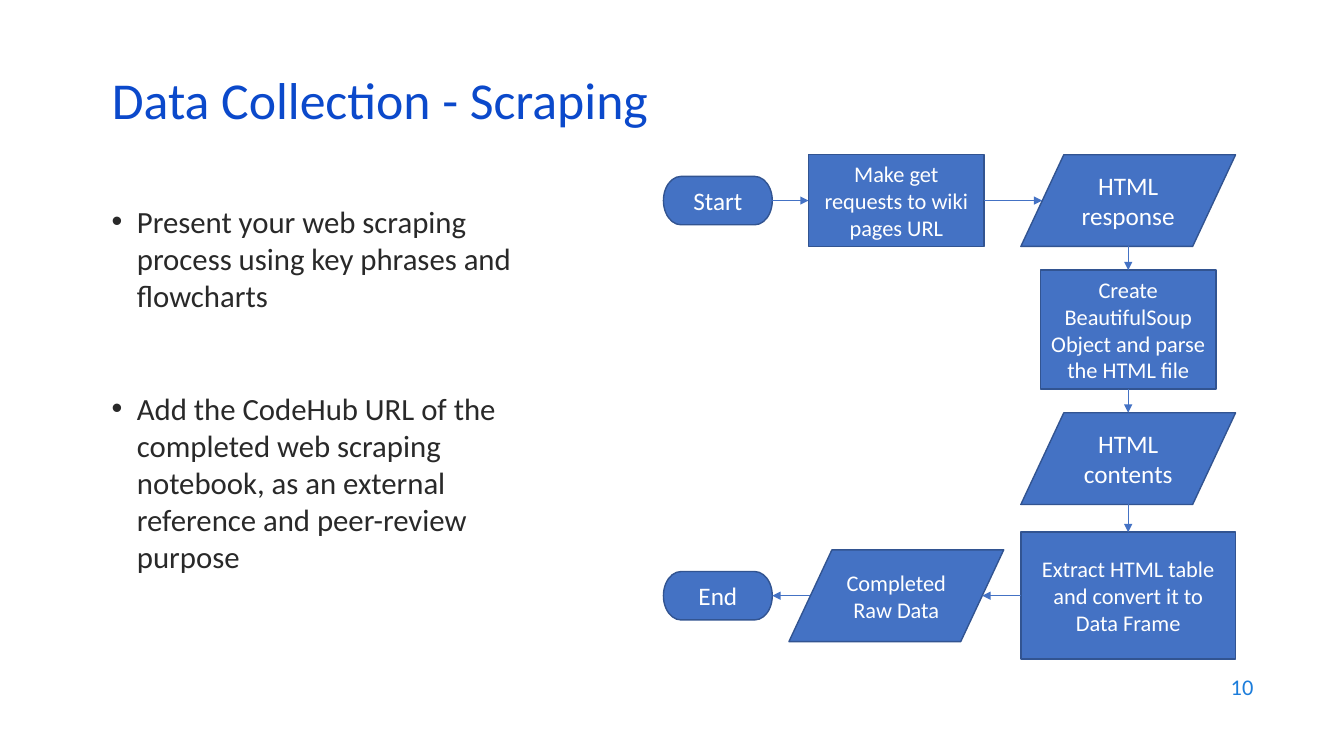
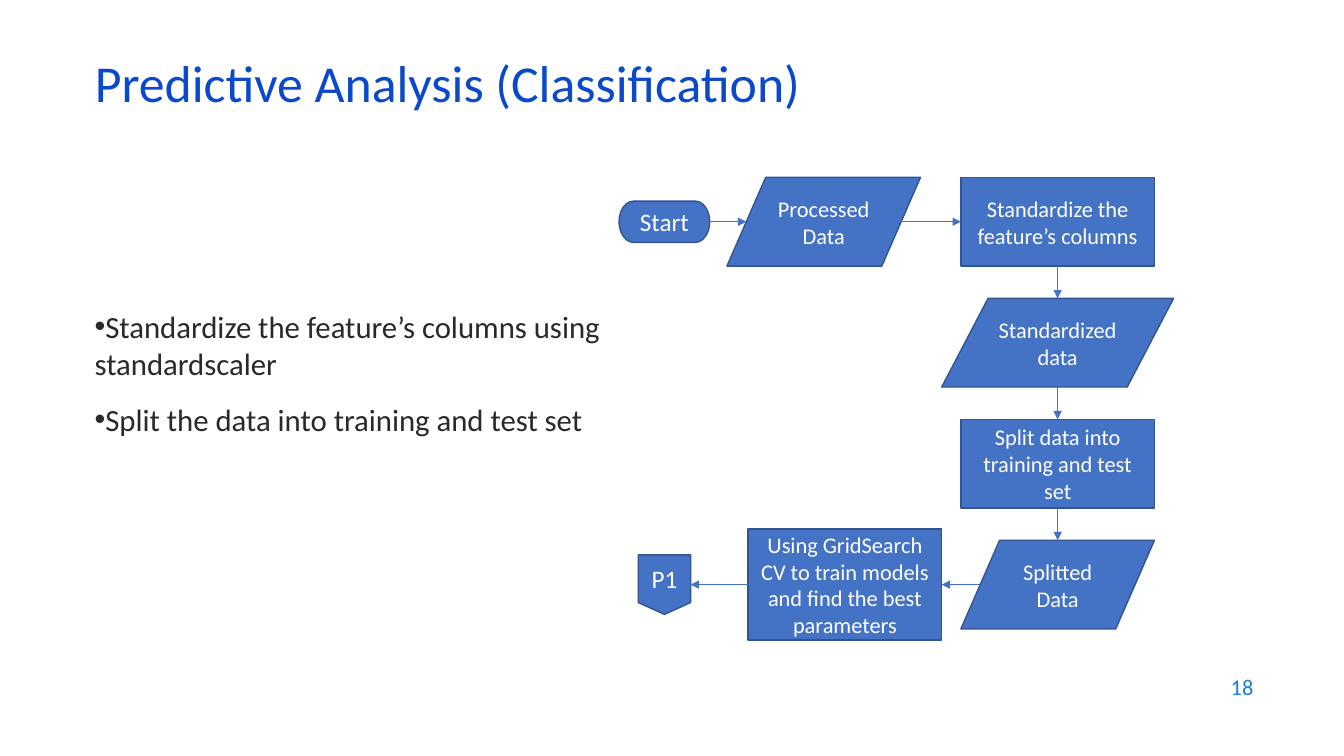
from itertools import pairwise

from lxml.etree import SubElement
from pptx import Presentation
from pptx.dml.color import RGBColor
from pptx.enum.shapes import MSO_CONNECTOR, MSO_SHAPE
from pptx.enum.text import MSO_ANCHOR, MSO_AUTO_SIZE, PP_ALIGN
from pptx.oxml.ns import qn
from pptx.util import Inches, Pt

COLORS = {
    "title": "0B49CB",
    "body": "292929",
    "number": "1C7DDB",
    "fill": "4472C4",
    "outline": "325491",
    "white": "FFFFFF",
}
FONT = "Calibri"
TERMINATOR = MSO_SHAPE.FLOWCHART_TERMINATOR
PROCESS = MSO_SHAPE.FLOWCHART_PROCESS
DATA = MSO_SHAPE.FLOWCHART_DATA
OFFPAGE = MSO_SHAPE.FLOWCHART_OFFPAGE_CONNECTOR
DATA_SLANT = 0.1
ROUTE = ["right", "right", "down", "down", "down", "left", "left"]
OPPOSITE = {"right": "left", "left": "right", "down": "up"}
SIDES = {"right": (0.5, 0), "left": (-0.5, 0), "down": (0, 0.5), "up": (0, -0.5)}

SLIDES = [
    {
        "title": "Data Collection - Scraping",
        "title_position": (1.01, 0.76),
        "number": "10",
        "body_box": (1.01, 1.96, 4.3, 4.17),
        "bullets": [
            "Present your web scraping process using key phrases and flowcharts",
            "Add the CodeHub URL of the completed web scraping notebook, "
            "as an external reference and peer-review purpose",
        ],
        "bullet_indent": 0.25,
        "bullet_gap": 54.4,
        "steps": [
            (TERMINATOR, "Start", 18, 7.12, 1.99, 1.08, 0.48),
            (PROCESS, "Make get requests to wiki pages URL", 16, 8.89, 1.99, 1.74, 0.91),
            (DATA, "HTML response", 18, 11.19, 1.99, 2.13, 0.91),
            (PROCESS, "Create BeautifulSoup Object and parse the HTML file",
             16, 11.19, 3.27, 1.74, 1.18),
            (DATA, "HTML contents", 18, 11.19, 4.55, 2.13, 0.91),
            (PROCESS, "Extract HTML table and convert it to Data Frame",
             16, 11.19, 5.91, 2.13, 1.26),
            (DATA, "Completed Raw Data", 16, 8.89, 5.91, 2.13, 0.91),
            (TERMINATOR, "End", 18, 7.12, 5.91, 1.08, 0.48),
        ],
    },
    {
        "title": "Predictive Analysis (Classification)",
        "title_position": (0.84, 0.59),
        "number": "18",
        "body_box": (0.84, 3, 5.56, 1.5),
        "bullets": [
            "Standardize the feature’s columns using standardscaler",
            "Split the data into training and test set",
        ],
        "bullet_indent": 0,
        "bullet_gap": 14,
        "steps": [
            (TERMINATOR, "Start", 18, 6.59, 2.2, 0.9, 0.41),
            (DATA, "Processed Data", 16, 8.17, 2.2, 1.92, 0.88),
            (PROCESS, "Standardize the feature’s columns", 16, 10.49, 2.2, 1.92, 0.88),
            (DATA, "Standardized data", 16, 10.49, 3.4, 2.3, 0.88),
            (PROCESS, "Split data into training and test set",
             16, 10.49, 4.6, 1.92, 0.88),
            (DATA, "Splitted Data", 16, 10.49, 5.8, 1.92, 0.88),
            (PROCESS, "Using GridSearch CV to train models and find the best parameters",
             16, 8.38, 5.8, 1.92, 1.1),
            (OFFPAGE, "P1", 18, 6.59, 5.8, 0.52, 0.59),
        ],
    },
]


def rgb(name):
    return RGBColor.from_string(COLORS[name])


def write_text(paragraph, text, *, size, color, align=PP_ALIGN.LEFT, line_spacing=None):
    paragraph.alignment = align
    if line_spacing:
        paragraph.line_spacing = line_spacing
    run = paragraph.add_run()
    run.text = text
    run.font.name = FONT
    run.font.size = Pt(size)
    run.font.color.rgb = rgb(color)


def set_frame(shape, anchor):
    frame = shape.text_frame
    frame.word_wrap = True
    frame.auto_size = MSO_AUTO_SIZE.NONE
    frame.vertical_anchor = anchor
    return frame


def set_bullet(paragraph, indent):
    properties = paragraph._p.get_or_add_pPr()
    properties.set("marL", str(Inches(indent)))
    properties.set("indent", str(-Inches(indent)))
    SubElement(properties, qn("a:buFont")).set("typeface", "Arial")
    SubElement(properties, qn("a:buChar")).set("char", "•")


def add_title(slide, text, left, top):
    title = slide.shapes.title
    title.left, title.top = Inches(left), Inches(top)
    title.width, title.height = Inches(11.5), Inches(0.6)
    frame = set_frame(title, MSO_ANCHOR.MIDDLE)
    write_text(frame.paragraphs[0], text, size=37, color="title", line_spacing=0.7)


def add_number(slide, number):
    box = slide.shapes.add_textbox(Inches(9.53), Inches(6.59), Inches(3), Inches(0.44))
    frame = set_frame(box, MSO_ANCHOR.MIDDLE)
    write_text(frame.paragraphs[0], number, size=16, color="number", align=PP_ALIGN.RIGHT)


def add_bullets(slide, texts, box, indent, gap):
    text_box = slide.shapes.add_textbox(*map(Inches, box))
    frame = set_frame(text_box, MSO_ANCHOR.TOP)
    for index, text in enumerate(texts):
        paragraph = frame.add_paragraph() if index else frame.paragraphs[0]
        set_bullet(paragraph, indent)
        paragraph.space_before = Pt(gap if index else 0)
        write_text(paragraph, text, size=22, color="body")


def add_step(slide, kind, text, size, center_x, center_y, width, height):
    shape = slide.shapes.add_shape(
        kind, Inches(center_x - width / 2), Inches(center_y - height / 2),
        Inches(width), Inches(height))
    shape.shadow.inherit = False
    shape.fill.solid()
    shape.fill.fore_color.rgb = rgb("fill")
    shape.line.color.rgb = rgb("outline")
    shape.line.width = Pt(1)
    frame = set_frame(shape, MSO_ANCHOR.MIDDLE)
    write_text(frame.paragraphs[0], text, size=size, color="white", align=PP_ALIGN.CENTER)


def edge_point(step, side):
    kind, _, _, center_x, center_y, width, height = step
    across, down = SIDES[side]
    if kind == DATA:
        across *= 1 - 2 * DATA_SLANT
    return Inches(center_x + across * width), Inches(center_y + down * height)


def add_arrow(slide, start_step, end_step, direction):
    start = edge_point(start_step, direction)
    end = edge_point(end_step, OPPOSITE[direction])
    arrow = slide.shapes.add_connector(MSO_CONNECTOR.STRAIGHT, *start, *end)
    arrow.line.color.rgb = rgb("fill")
    arrow.line.width = Pt(0.5)
    SubElement(arrow.line._get_or_add_ln(), qn("a:tailEnd")).set("type", "triangle")
    SubElement(arrow._element.spPr, qn("a:effectLst"))


def add_flowchart(slide, steps):
    for step in steps:
        add_step(slide, *step)
    for (start_step, end_step), direction in zip(pairwise(steps), ROUTE):
        add_arrow(slide, start_step, end_step, direction)


def main():
    presentation = Presentation()
    presentation.slide_width = Inches(13.33)
    presentation.slide_height = Inches(7.5)
    for content in SLIDES:
        slide = presentation.slides.add_slide(presentation.slide_layouts[5])
        add_title(slide, content["title"], *content["title_position"])
        add_number(slide, content["number"])
        add_bullets(slide, content["bullets"], content["body_box"],
                    content["bullet_indent"], content["bullet_gap"])
        add_flowchart(slide, content["steps"])
    presentation.save("out.pptx")


if __name__ == "__main__":
    main()
